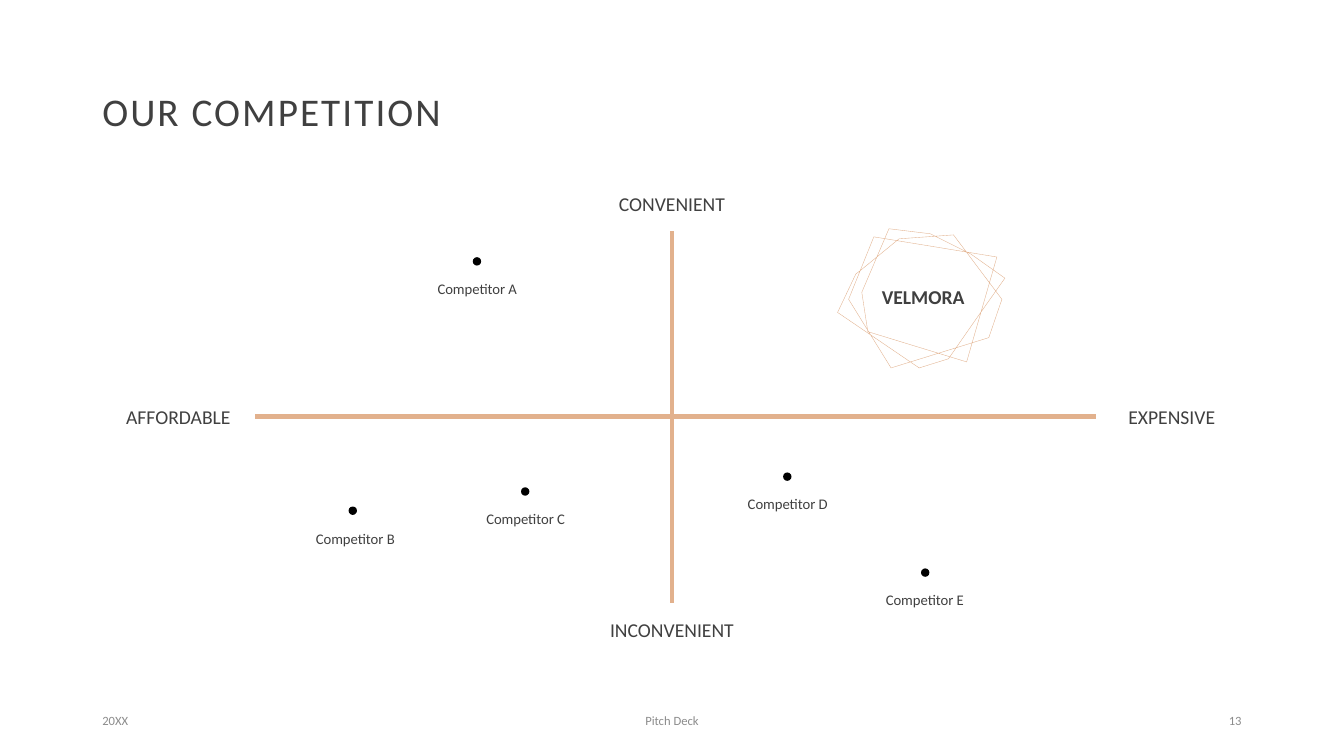
from lxml.etree import SubElement
from pptx import Presentation
from pptx.dml.color import RGBColor
from pptx.enum.shapes import MSO_CONNECTOR, MSO_SHAPE
from pptx.enum.text import MSO_ANCHOR, PP_ALIGN as ALIGN
from pptx.oxml.ns import qn
from pptx.util import Pt

FONT = "Calibri"
INK, GREY, BLACK, ACCENT = "404040", "8C8C8C", "000000", "E2B18D"


def color(hex_string):
    return RGBColor.from_string(hex_string)


class SlideBuilder:
    """Holds the style and the current slide; all lengths are in points."""

    def __init__(self, slide):
        self.slide = slide

    def text(self, words, left, top, width, height, size, ink=INK,
             align=ALIGN.CENTER, bold=False, spacing=None, line_spacing=None):
        shape = self.slide.shapes.add_textbox(
            Pt(left), Pt(top), Pt(width), Pt(height))
        frame = shape.text_frame
        frame.word_wrap = True
        frame.vertical_anchor = MSO_ANCHOR.MIDDLE
        paragraph = frame.paragraphs[0]
        paragraph.alignment = align
        paragraph.line_spacing = line_spacing
        run = paragraph.add_run()
        run.text = words
        run.font.name = FONT
        run.font.size = Pt(size)
        run.font.bold = bold
        run.font.color.rgb = color(ink)
        if spacing:
            run._r.get_or_add_rPr().set("spc", str(int(spacing * 100)))

    def label(self, words, center_x, center_y, width, size, bold=False):
        height = 39
        self.text(words, center_x - width / 2, center_y - height / 2,
                  width, height, size, bold=bold)

    def line(self, x1, y1, x2, y2, width):
        connector = self.slide.shapes.add_connector(
            MSO_CONNECTOR.STRAIGHT, Pt(x1), Pt(y1), Pt(x2), Pt(y2))
        connector.line.color.rgb = color(ACCENT)
        connector.line.width = Pt(width)
        SubElement(connector._element.spPr, qn("a:effectLst"))

    def dot(self, center_x, center_y, size):
        shape = self.slide.shapes.add_shape(
            MSO_SHAPE.OVAL, Pt(center_x - size / 2), Pt(center_y - size / 2),
            Pt(size), Pt(size))
        shape.shadow.inherit = False
        shape.fill.solid()
        shape.fill.fore_color.rgb = color(BLACK)
        shape.line.fill.background()

    def outline(self, points, width):
        # Tenths of a point keep the corners precise
        tenths = [(x * 10, y * 10) for x, y in points]
        builder = self.slide.shapes.build_freeform(*tenths[0], scale=Pt(0.1))
        builder.add_line_segments(tenths[1:], close=True)
        shape = builder.convert_to_shape()
        shape.shadow.inherit = False
        shape.fill.background()
        shape.line.color.rgb = color(ACCENT)
        shape.line.width = Pt(width)


AXIS_X, AXIS_Y = 480, 297.4

AXIS_LABELS = [
    ("CONVENIENT", AXIS_X, 145.4),
    ("INCONVENIENT", AXIS_X, 450),
    ("AFFORDABLE", 127.4, AXIS_Y),
    ("EXPENSIVE", 837, AXIS_Y),
]

# Name, dot x, dot y, label x
COMPETITORS = [
    ("Competitor A", 340.7, 186.7, 340.9),
    ("Competitor B", 252, 364.8, 253.8),
    ("Competitor C", 375.2, 351.1, 375.5),
    ("Competitor D", 562.4, 340.5, 562.7),
    ("Competitor E", 660.9, 409, 660.6),
]

# Three overlapping pentagons drawn as one path
BADGE = [
    (642.2, 170.6), (614.9, 193), (611.3, 195.8), (598.3, 223.2),
    (656.6, 262.8), (677.5, 256.3), (697, 228.2), (717.8, 198.7),
    (693.4, 181.4), (664.6, 167), (635, 163.4), (615.6, 208.8),
    (619.9, 236.9), (690.5, 258.5), (712.1, 183.6), (624.2, 169.2),
    (606.2, 213.8), (636.5, 262.8), (706.3, 241.2), (715.7, 213.8),
    (681.1, 167.8),
]

FOOTER = [
    ("20XX", 66, 216, ALIGN.LEFT),
    ("Pitch Deck", 318, 324, ALIGN.CENTER),
    ("13", 678, 216, ALIGN.RIGHT),
]


def main():
    presentation = Presentation()
    presentation.slide_width, presentation.slide_height = Pt(960), Pt(540)
    slide = presentation.slides.add_slide(presentation.slide_layouts[6])
    builder = SlideBuilder(slide)

    # Axes
    builder.line(182.2, AXIS_Y, 782.6, AXIS_Y, 3.5)
    builder.line(AXIS_X, 430.6, AXIS_X, 164.9, 3.5)

    # Title
    builder.text("OUR COMPETITION", 66, 28.8, 828, 104.4, 28,
                 align=ALIGN.LEFT, spacing=1.5, line_spacing=0.9)

    # Axis labels
    for words, x, y in AXIS_LABELS:
        builder.label(words, x, y, 135, 14)

    # Competitors
    for name, dot_x, dot_y, label_x in COMPETITORS:
        builder.dot(dot_x, dot_y, 6)
        builder.label(name, label_x, dot_y + 19.6, 93, 10.5)

    # Own company
    builder.outline(BADGE, 0.25)
    builder.label("VELMORA", 659.5, 212, 135, 14, bold=True)

    # Footer
    for words, left, width, align in FOOTER:
        builder.text(words, left, 500.4, width, 28.8, 9, GREY, align)

    presentation.save("out.pptx")


if __name__ == "__main__":
    main()
